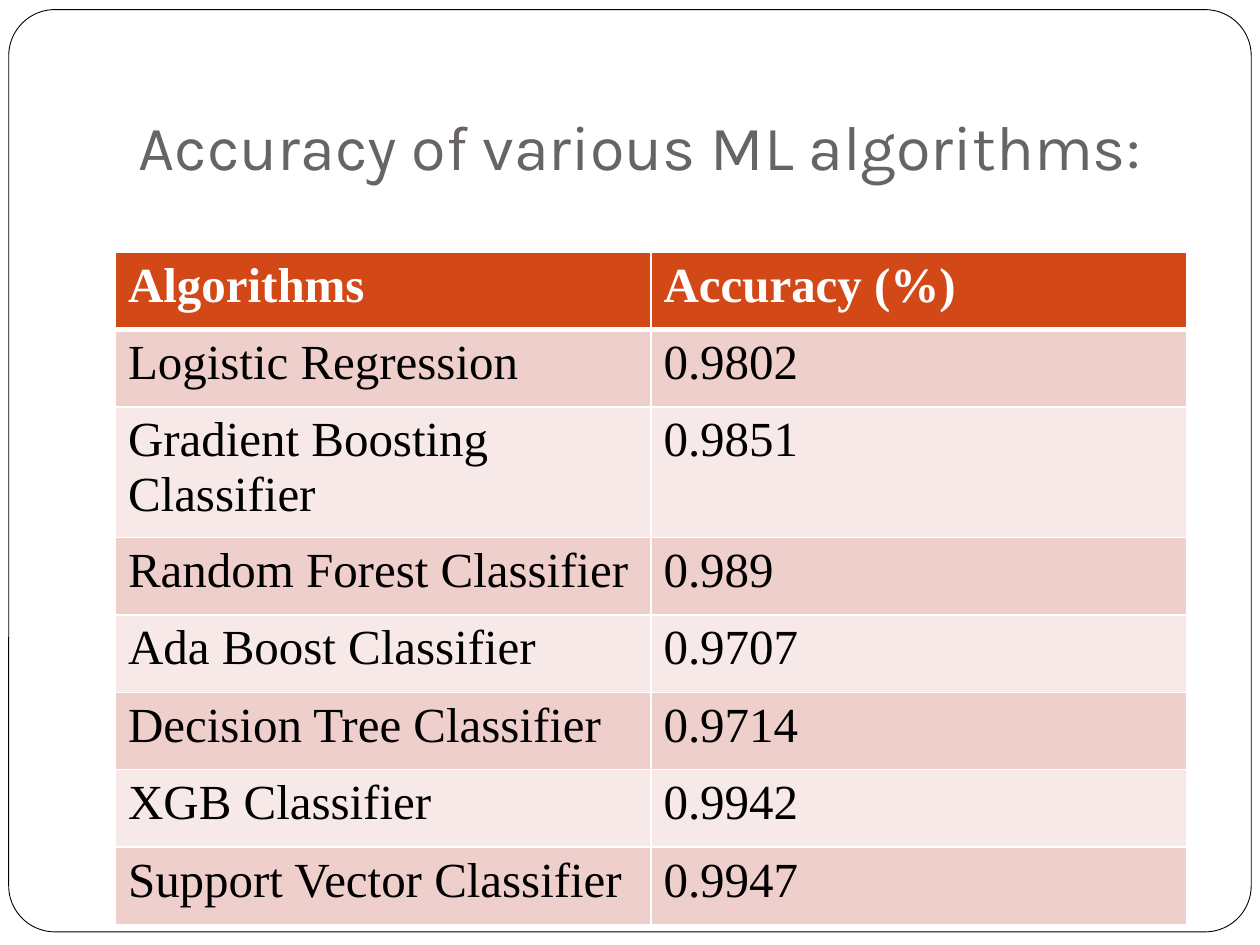
from typing import NamedTuple

import pptx
import pptx.dml.color
import pptx.enum.shapes
import pptx.enum.text
import pptx.oxml
import pptx.oxml.ns
import pptx.util

Pt = pptx.util.Pt
RGBColor = pptx.dml.color.RGBColor

WHITE = RGBColor(0xFF, 0xFF, 0xFF)
BLACK = RGBColor(0x00, 0x00, 0x00)
GREY = RGBColor(0x69, 0x64, 0x64)
ORANGE = RGBColor(0xD3, 0x48, 0x17)
ROSE = RGBColor(0xEF, 0xCF, 0xCC)
PALE_ROSE = RGBColor(0xF7, 0xE9, 0xE8)

ROW_HEIGHT = 44.28
COLUMN_WIDTH = 306
THIN, THICK = 1, 3


class Score(NamedTuple):
    algorithm: str
    accuracy: str


class CellStyle(NamedTuple):
    fill: RGBColor
    color: RGBColor
    bold: bool
    top: float
    bottom: float


HEADER = Score("Algorithms", "Accuracy (%)")
SCORES = [
    Score("Logistic Regression", "0.9802"),
    Score("Gradient Boosting Classifier", "0.9851"),
    Score("Random Forest Classifier", "0.989"),
    Score("Ada Boost Classifier", "0.9707"),
    Score("Decision Tree Classifier", "0.9714"),
    Score("XGB Classifier", "0.9942"),
    Score("Support Vector Classifier", "0.9947"),
]


def row_style(row: int) -> CellStyle:
    if row == 0:
        return CellStyle(ORANGE, WHITE, True, THIN, THICK)
    fill = ROSE if row % 2 else PALE_ROSE
    return CellStyle(fill, BLACK, False, THICK if row == 1 else THIN, THIN)


def add_run(p, text: str, font: str, size: float, color: RGBColor, bold: bool = False) -> None:
    r = p.add_run()
    r.text = text
    r.font.name = font
    r.font.size = Pt(size)
    r.font.color.rgb = color
    r.font.bold = bold


def add_border(cell, side: str, width: float) -> None:
    ns = pptx.oxml.ns.nsdecls("a")
    cell._tc.get_or_add_tcPr().append(pptx.oxml.parse_xml(
        f'<a:{side} {ns} w="{Pt(width)}"><a:solidFill><a:srgbClr val="{WHITE}"/>'
        f'</a:solidFill></a:{side}>'))


def fill_cell(cell, text: str, style: CellStyle) -> None:
    sides = {"lnL": THIN, "lnR": THIN, "lnT": style.top, "lnB": style.bottom}
    for side, width in sides.items():
        add_border(cell, side, width)
    cell.fill.solid()
    cell.fill.fore_color.rgb = style.fill
    add_run(cell.text_frame.paragraphs[0], text, "Times New Roman", 28, style.color, style.bold)


def add_frame(s) -> None:
    sp = s.shapes.add_shape(pptx.enum.shapes.MSO_SHAPE.ROUNDED_RECTANGLE,
                            Pt(5), Pt(5.5), Pt(710), Pt(527))
    sp.adjustments[0] = 0.05
    sp.shadow.inherit = False
    sp.fill.solid()
    sp.fill.fore_color.rgb = WHITE
    sp.line.color.rgb = BLACK
    sp.line.width = Pt(0.5)


def add_title(s, text: str) -> None:
    tf = s.shapes.add_textbox(Pt(72), Pt(21.6), Pt(612), Pt(90)).text_frame
    tf.word_wrap = True
    tf.vertical_anchor = pptx.enum.text.MSO_ANCHOR.BOTTOM
    tf.margin_bottom = Pt(7.2)
    add_run(tf.paragraphs[0], text, "Karla", 36, GREY)


def add_score_table(s, rows: list[Score]) -> None:
    columns = len(Score._fields)
    table = s.shapes.add_table(len(rows), columns, Pt(66), Pt(144),
                               Pt(columns * COLUMN_WIDTH), Pt(len(rows) * ROW_HEIGHT)).table
    for i, score in enumerate(rows):
        for j, text in enumerate(score):
            fill_cell(table.cell(i, j), text, row_style(i))


def main() -> None:
    prs = pptx.Presentation()
    prs.slide_width, prs.slide_height = Pt(720), Pt(540)
    s = prs.slides.add_slide(prs.slide_layouts[6])
    add_frame(s)
    add_title(s, "Accuracy of various ML algorithms:")
    add_score_table(s, [HEADER, *SCORES])
    prs.save("out.pptx")


if __name__ == "__main__":
    main()
